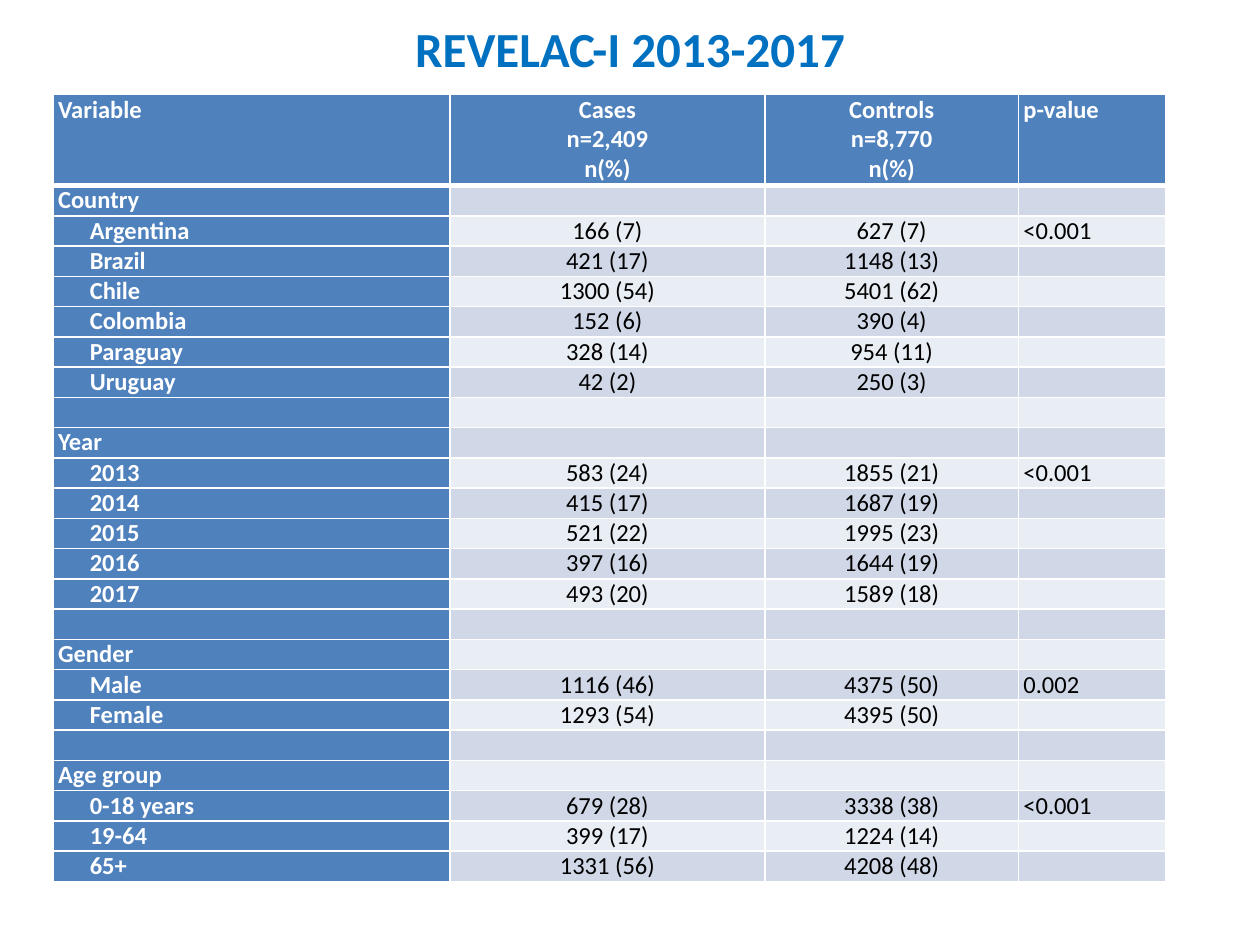
from lxml.etree import SubElement
from pptx import Presentation
from pptx.dml.color import RGBColor
from pptx.enum.text import MSO_ANCHOR, PP_ALIGN
from pptx.oxml.ns import qn
from pptx.util import Cm, Pt

FONT = "Calibri"
WHITE, BLACK, TITLE_BLUE, HEAD_BLUE = "FFFFFF", "000000", "0070C0", "4F81BD"
BANDS = ("E9EDF4", "D0D8E8")
COL_WIDTHS = (8, 6.35, 5.11, 2.97)
HEAD_HEIGHT, ROW_HEIGHT = 1.83, 0.61

HEADINGS = (
    ["Variable"],
    ["Cases", "n=2,409", "n(%)"],
    ["Controls", "n=8,770", "n(%)"],
    ["p-value"],
)
# Group name, p-value, (category, cases, controls)
GROUPS = (
    ("Country", "<0.001", (
        ("Argentina", "166 (7)", "627 (7)"),
        ("Brazil", "421 (17)", "1148 (13)"),
        ("Chile", "1300 (54)", "5401 (62)"),
        ("Colombia", "152 (6)", "390 (4)"),
        ("Paraguay", "328 (14)", "954 (11)"),
        ("Uruguay", "42 (2)", "250 (3)"))),
    ("Year", "<0.001", (
        ("2013", "583 (24)", "1855 (21)"),
        ("2014", "415 (17)", "1687 (19)"),
        ("2015", "521 (22)", "1995 (23)"),
        ("2016", "397 (16)", "1644 (19)"),
        ("2017", "493 (20)", "1589 (18)"))),
    ("Gender", "0.002", (
        ("Male", "1116 (46)", "4375 (50)"),
        ("Female", "1293 (54)", "4395 (50)"))),
    ("Age group", "<0.001", (
        ("0-18 years", "679 (28)", "3338 (38)"),
        ("19-64", "399 (17)", "1224 (14)"),
        ("65+", "1331 (56)", "4208 (48)"))),
)


def rgb(color):
    return RGBColor.from_string(color)


def add_run(p, text, size, color, bold):
    r = p.add_run()
    r.text = text
    font = r.font
    font.name, font.size, font.bold = FONT, Pt(size), bold
    font.color.rgb = rgb(color)


def add_title(slide, text):
    sp = slide.shapes.title
    sp.left, sp.top, sp.width, sp.height = Cm(1.27), Cm(-0.2), Cm(22.86), Cm(2.34)
    tf = sp.text_frame
    tf.vertical_anchor = MSO_ANCHOR.MIDDLE
    p = tf.paragraphs[0]
    p.alignment = PP_ALIGN.CENTER
    add_run(p, text, 28, TITLE_BLUE, True)


def set_borders(cell, top, bottom):
    tc_pr = cell._tc.get_or_add_tcPr()
    for side, width in (("L", 1), ("R", 1), ("T", top), ("B", bottom)):
        ln = SubElement(tc_pr, qn(f"a:ln{side}"), w=str(Pt(width)))
        SubElement(SubElement(ln, qn("a:solidFill")), qn("a:srgbClr"), val=WHITE)


def fill_cell(cell, lines, row, col, indented):
    is_head = row == 0 or col == 0
    cell.margin_left = cell.margin_right = Cm(0.1)
    cell.margin_top = cell.margin_bottom = 0
    set_borders(cell, 3 if row == 1 else 1, 3 if row == 0 else 1)
    cell.fill.solid()
    cell.fill.fore_color.rgb = rgb(HEAD_BLUE if is_head else BANDS[row % 2])
    tf = cell.text_frame
    for i, line in enumerate(lines):
        p = tf.add_paragraph() if i else tf.paragraphs[0]
        if col in (1, 2):
            p.alignment = PP_ALIGN.CENTER
        if indented:
            p._p.get_or_add_pPr().set("marL", str(Cm(0.64)))
        if line:
            add_run(p, line, 14, WHITE if is_head else BLACK, is_head)
        else:
            # Keeps the empty row as low as the others
            SubElement(p._p, qn("a:endParaRPr"), sz="1400")


def table_rows():
    """List each row as (cell texts, is a category)."""
    rows = []
    for name, p_value, categories in GROUPS:
        if rows:
            rows.append(([""] * 4, False))
        rows.append(([name, "", "", ""], False))
        for i, values in enumerate(categories):
            rows.append(([*values, "" if i else p_value], True))
    return rows


def add_results_table(slide):
    rows = table_rows()
    height = HEAD_HEIGHT + ROW_HEIGHT * len(rows)
    table = slide.shapes.add_table(
        len(rows) + 1, len(COL_WIDTHS), Cm(1.07), Cm(1.91),
        Cm(sum(COL_WIDTHS)), Cm(height)).table
    table.first_col = True
    for column, width in zip(table.columns, COL_WIDTHS):
        column.width = Cm(width)
    for i, row in enumerate(table.rows):
        row.height = Cm(ROW_HEIGHT if i else HEAD_HEIGHT)

    # Heading row
    for col, lines in enumerate(HEADINGS):
        fill_cell(table.cell(0, col), lines, 0, col, False)
    # Body rows
    for row, (texts, is_category) in enumerate(rows, 1):
        for col, text in enumerate(texts):
            fill_cell(table.cell(row, col), [text], row, col,
                      is_category and col == 0)


def main():
    prs = Presentation()
    prs.slide_width, prs.slide_height = Cm(25.4), Cm(19.05)
    slide = prs.slides.add_slide(prs.slide_layouts[5])
    add_title(slide, "REVELAC-I 2013-2017")
    add_results_table(slide)
    prs.save("out.pptx")


if __name__ == "__main__":
    main()
